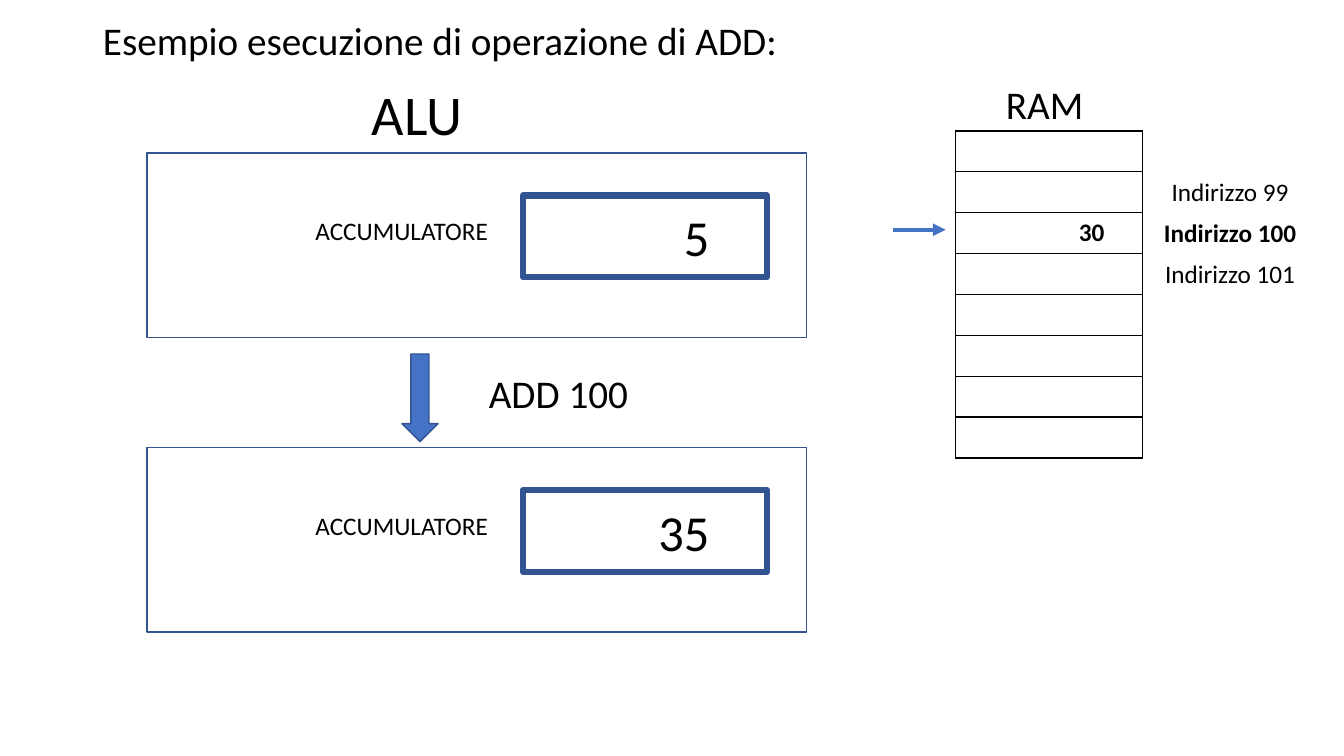
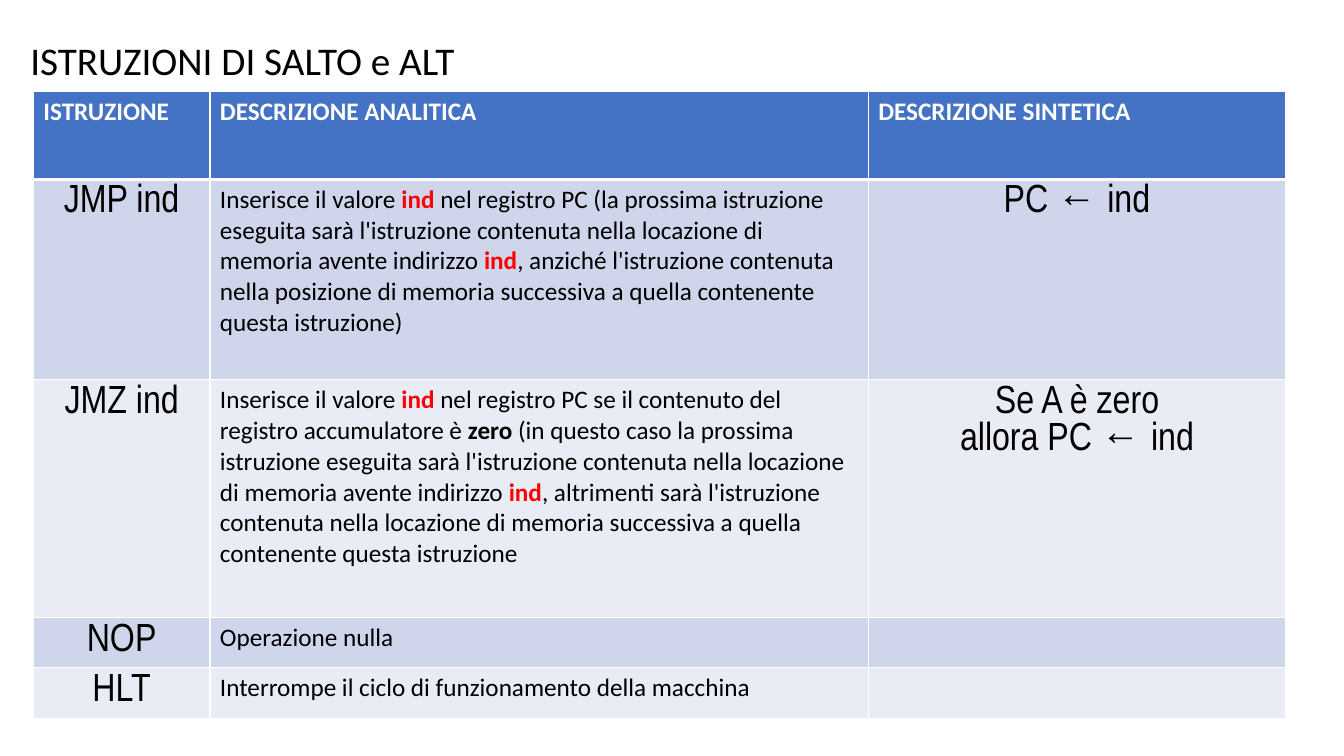
from lxml.etree import SubElement
from pptx import Presentation
from pptx.dml.color import RGBColor
from pptx.enum.shapes import MSO_CONNECTOR, MSO_SHAPE
from pptx.enum.text import MSO_ANCHOR, PP_ALIGN
from pptx.oxml.ns import qn
from pptx.util import Cm, Pt

BLACK = RGBColor(0x00, 0x00, 0x00)
WHITE = RGBColor(0xFF, 0xFF, 0xFF)
RED = RGBColor(0xFF, 0x00, 0x00)
BLUE = RGBColor(0x44, 0x72, 0xC4)
DARK_BLUE = RGBColor(0x32, 0x54, 0x91)
BANDS = [RGBColor(0xCF, 0xD5, 0xEA), RGBColor(0xE9, 0xEB, 0xF5)]
BODY_FONT = "Calibri"
CODE_FONT = "Arial Narrow"

ADD_TITLE = "Esempio esecuzione di operazione di ADD:"
ACCUMULATOR_STATES = [(3.86, "5"), (11.28, "35")]
HEADINGS = [
    ("ALU", 9.12, 1.88, 3.4, 1.96, 40),
    ("ADD 100", 12.07, 9.17, 4.24, 1.45, 28),
    ("RAM", 25.1, 1.91, 3.68, 1.45, 28),
]
RAM_CELLS = ["", "", "30", "", "", "", "", ""]
ACTIVE_ROW = 2
ADDRESSES = {1: "Indirizzo 99", 2: "Indirizzo 100", 3: "Indirizzo 101"}
RAM_LEFT, RAM_TOP, RAM_WIDTH, RAM_ROW = 24.08, 3.3, 4.72, 1.03

JUMP_TITLE = "ISTRUZIONI DI SALTO e ALT"
JUMP_HEADER = ["ISTRUZIONE", "DESCRIZIONE ANALITICA", "DESCRIZIONE SINTETICA"]
INSTRUCTIONS = [
    ("JMP ind",
     "Inserisce il valore |ind| nel registro PC (la prossima istruzione eseguita "
     "sarà l'istruzione contenuta nella locazione di memoria avente indirizzo |ind|"
     ", anziché l'istruzione contenuta nella posizione di memoria successiva a "
     "quella contenente questa istruzione)",
     "PC ← ind"),
    ("JMZ ind",
     "Inserisce il valore |ind| nel registro PC se il contenuto del registro "
     "accumulatore è |zero| (in questo caso la prossima istruzione eseguita sarà "
     "l'istruzione contenuta nella locazione di memoria avente indirizzo |ind|"
     ", altrimenti sarà l'istruzione contenuta nella locazione di memoria "
     "successiva a quella contenente questa istruzione",
     "Se A è zero\nallora PC ← ind"),
    ("NOP", "Operazione nulla", ""),
    ("HLT", "Interrompe il ciclo di funzionamento della macchina", ""),
]
EMPHASIS = {"ind": RED, "zero": BLACK}
JUMP_COLUMNS = [4.45, 16.59, 10.52]
JUMP_ROWS = [2.21, 5.05, 5.99, 1.27, 1.27]


def style_run(run, size, color=BLACK, bold=False, font=BODY_FONT):
    run.font.size = Pt(size)
    run.font.name = font
    run.font.bold = bold
    run.font.color.rgb = color


def write(frame, text, size, align=PP_ALIGN.LEFT, **style):
    frame.text = text
    for paragraph in frame.paragraphs:
        paragraph.alignment = align
        for run in paragraph.runs:
            style_run(run, size, **style)


def add_titled_slide(prs, text, left, top):
    slide = prs.slides.add_slide(prs.slide_layouts[5])
    title = slide.shapes.title
    title.left, title.top, title.width, title.height = Cm(left), Cm(top), Cm(30.6), Cm(1.4)
    write(title.text_frame, text, 28)
    title.text_frame.vertical_anchor = MSO_ANCHOR.TOP
    title.text_frame.paragraphs[0].line_spacing = 0.9
    return slide


def add_label(slide, text, left, top, width, height, size, **style):
    label = slide.shapes.add_textbox(Cm(left), Cm(top), Cm(width), Cm(height))
    label.text_frame.word_wrap = True
    write(label.text_frame, text, size, **style)


def add_block(slide, preset, left, top, width, height, line_width, fill=None):
    block = slide.shapes.add_shape(preset, Cm(left), Cm(top), Cm(width), Cm(height))
    block.shadow.inherit = False
    if fill is None:
        block.fill.background()
    else:
        block.fill.solid()
        block.fill.fore_color.rgb = fill
    block.line.color.rgb = DARK_BLUE
    block.line.width = Pt(line_width)
    return block


def add_arrow(slide, start, end, y):
    arrow = slide.shapes.add_connector(
        MSO_CONNECTOR.STRAIGHT, Cm(start), Cm(y), Cm(end), Cm(y))
    arrow.line.color.rgb = BLUE
    arrow.line.width = Pt(3)
    SubElement(arrow.line._get_or_add_ln(), qn("a:tailEnd"), type="triangle")
    SubElement(arrow._element.spPr, qn("a:effectLst"))


def add_plain_table(slide, left, top, columns, rows):
    table = slide.shapes.add_table(
        len(rows), len(columns), Cm(left), Cm(top), Cm(sum(columns)), Cm(sum(rows))).table
    table.first_row = table.horz_banding = False
    for column, width in zip(table.columns, columns):
        column.width = Cm(width)
    for row, height in zip(table.rows, rows):
        row.height = Cm(height)
    return table


def finish_cell(cell, fill, border, top=1, bottom=1):
    properties = cell._tc.get_or_add_tcPr()
    for side, width in (("L", 1), ("R", 1), ("T", top), ("B", bottom)):
        edge = SubElement(properties, qn("a:ln" + side), w=str(Pt(width)))
        SubElement(SubElement(edge, qn("a:solidFill")), qn("a:srgbClr"), val=str(border))
    cell.fill.solid()
    cell.fill.fore_color.rgb = fill


def add_accumulator(slide, top, value):
    add_block(slide, MSO_SHAPE.RECTANGLE, 3.71, top, 16.61, 4.65, 1)
    add_label(slide, "ACCUMULATORE", 7.7, top + 1.45, 5.11, 1.02, 18)
    register = add_block(slide, MSO_SHAPE.RECTANGLE, 13.18, top + 1.07, 6.15, 2.06, 4.5)
    write(register.text_frame, value, 36, align=PP_ALIGN.RIGHT)
    register.text_frame.margin_right = Cm(1.45)


def build_add_slide(prs):
    slide = add_titled_slide(prs, ADD_TITLE, 2.34, 0.43)
    for top, value in ACCUMULATOR_STATES:
        add_accumulator(slide, top, value)
    add_block(slide, MSO_SHAPE.DOWN_ARROW, 10.13, 8.92, 0.91, 2.21, 1, fill=BLUE)
    for heading in HEADINGS:
        add_label(slide, *heading)

    ram = add_plain_table(slide, RAM_LEFT, RAM_TOP, [RAM_WIDTH], [RAM_ROW] * len(RAM_CELLS))
    for row, value in enumerate(RAM_CELLS):
        cell = ram.cell(row, 0)
        write(cell.text_frame, value, 18, align=PP_ALIGN.RIGHT, bold=True)
        cell.margin_right = Cm(0.97)
        finish_cell(cell, WHITE, BLACK)
    for row, address in ADDRESSES.items():
        add_label(slide, address, 28.88, RAM_TOP + row * RAM_ROW, 4.24, 1.02, 18,
                  align=PP_ALIGN.CENTER, bold=row == ACTIVE_ROW)
    add_arrow(slide, 22.5, 23.83, 5.79)


def write_description(frame, text):
    paragraph = frame.paragraphs[0]
    for part in text.split("|"):
        run = paragraph.add_run()
        run.text = part
        style_run(run, 18, color=EMPHASIS.get(part, BLACK), bold=part in EMPHASIS)


def build_jump_slide(prs):
    slide = add_titled_slide(prs, JUMP_TITLE, 0.51, 0.91)
    table = add_plain_table(slide, 0.84, 2.31, JUMP_COLUMNS, JUMP_ROWS)
    for column, heading in enumerate(JUMP_HEADER):
        cell = table.cell(0, column)
        write(cell.text_frame, heading, 18, color=WHITE, bold=True)
        finish_cell(cell, BLUE, WHITE, bottom=3)
    for row, instruction in enumerate(INSTRUCTIONS, start=1):
        for column, text in enumerate(instruction):
            cell = table.cell(row, column)
            if column == 1:
                write_description(cell.text_frame, text)
            else:
                write(cell.text_frame, text, 28, align=PP_ALIGN.CENTER, font=CODE_FONT)
            finish_cell(cell, BANDS[(row - 1) % 2], WHITE, top=3 if row == 1 else 1)


def main():
    prs = Presentation()
    prs.slide_width, prs.slide_height = Cm(33.87), Cm(19.05)
    build_add_slide(prs)
    build_jump_slide(prs)
    prs.save("out.pptx")


if __name__ == "__main__":
    main()
